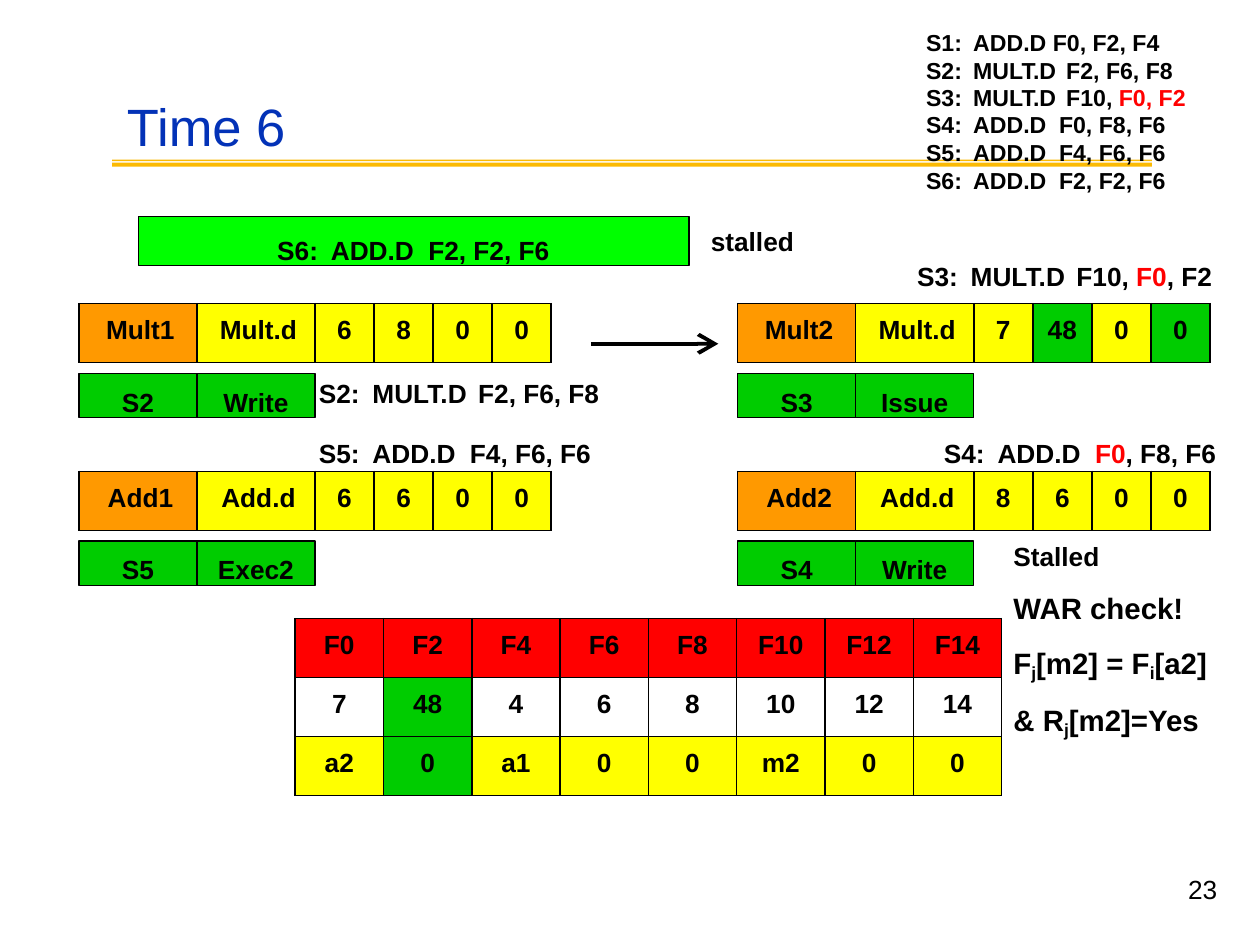
"""Build the scoreboard slide for time step six."""
from dataclasses import dataclass
from typing import Any, Sequence

import lxml.etree
import pptx
import pptx.dml.color
import pptx.enum.shapes
import pptx.enum.text
import pptx.oxml.ns
import pptx.util

Cm = pptx.util.Cm
Pt = pptx.util.Pt
qn = pptx.oxml.ns.qn
Align = pptx.enum.text.PP_ALIGN
Anchor = pptx.enum.text.MSO_ANCHOR
Shape = pptx.enum.shapes.MSO_SHAPE
Color = pptx.dml.color.RGBColor.from_string


@dataclass(frozen=True)
class Theme:
    font: str = "Arial"
    ink: str = "000000"
    paper: str = "FFFFFF"
    title: str = "0332B7"
    rule: str = "FBBA03"
    red: str = "FF0000"
    green: str = "00CC00"
    lime: str = "00FF00"
    gold: str = "FFFF00"
    orange: str = "FF9900"
    head: float = 30
    text: float = 15
    code: float = 13.2
    check: float = 16.8
    small: float = 17.2


@dataclass(frozen=True)
class Unit:
    left: float
    top: float
    cells: Sequence[str]
    state: Sequence[str]
    done: Sequence[int] = ()


@dataclass(frozen=True)
class Label:
    left: float
    top: float
    width: float
    text: str
    size: float = Theme.text


THEME = Theme()
ROW, WIDE, REG = 1.19, 2.38, 1.78
LIST = ["S1:\tADD.D F0, F2, F4", "S2:\tMULT.D\tF2, F6, F8",
        "S3:\tMULT.D\tF10, |F0, F2", "S4:\tADD.D\tF0, F8, F6",
        "S5:\tADD.D\tF4, F6, F6"]
UNITS = [
    Unit(1.59, 6.12, ("Mult1", "Mult.d", "6", "8", "0", "0"), ("S2", "Write")),
    Unit(14.87, 6.12, ("Mult2", "Mult.d", "7", "48", "0", "0"), ("S3", "Issue"), (3, 5)),
    Unit(1.59, 9.5, ("Add1", "Add.d", "6", "6", "0", "0"), ("S5", "Exec2")),
    Unit(14.87, 9.5, ("Add2", "Add.d", "8", "6", "0", "0"), ("S4", "Write")),
]
LABELS = [
    Label(14.33, 4.54, 1.9, "stalled"),
    Label(6.43, 7.6, 5.8, "S2:\tMULT.D\tF2, F6, F8"),
    Label(19.03, 8.82, 5.6, "S4:\tADD.D\t|F0|, F8, F6"),
    Label(18.49, 5.24, 6.1, "S3:\tMULT.D\tF10, |F0|, F2"),
    Label(6.43, 8.82, 5.6, "S5:\tADD.D\tF4, F6, F6"),
    Label(18.67, 3.36, 4.9, "S6:\tADD.D\tF2, F2, F6", THEME.code),
]
REGS = [["F0", "F2", "F4", "F6", "F8", "F10", "F12", "F14"],
        ["7", "48", "4", "6", "8", "10", "12", "14"],
        ["a2", "0", "a1", "0", "0", "m2", "0", "0"]]
CHECK = ["WAR check!", "F|j|[m2] = F|i|[a2]", "& R|j|[m2]=Yes"]


def add_run(para: Any, text: str, size: float, color: str = THEME.ink, bold: bool = True) -> Any:
    run = para.add_run()
    run.text = text
    run.font.name, run.font.size, run.font.bold = THEME.font, Pt(size), bold
    run.font.color.rgb = Color(color)
    return run


def add_code(para: Any, text: str, size: float) -> None:
    """Write an instruction on tab stops, with every second part in red."""
    if "\t" in text:
        props = para._p.get_or_add_pPr()
        tabs = lxml.etree.SubElement(props, qn("a:tabLst"))
        for stop in (0.072, 0.214 if "MULT" in text else 0.203):
            lxml.etree.SubElement(tabs, qn("a:tab"), pos=str(int(Cm(stop * size))), algn="l")
    for i, part in enumerate(text.split("|")):
        add_run(para, part, size, THEME.red if i % 2 else THEME.ink)


def set_frame(frame: Any, left: float = 0, top: float = 0) -> Any:
    frame.word_wrap = True
    frame.auto_size = pptx.enum.text.MSO_AUTO_SIZE.NONE
    frame.vertical_anchor = Anchor.TOP
    frame.margin_left, frame.margin_top = Cm(left), Cm(top)
    frame.margin_right = frame.margin_bottom = 0
    return frame


def add_text(slide: Any, left: float, top: float, width: float, height: float, inset: float = 0) -> Any:
    box = slide.shapes.add_textbox(Cm(left), Cm(top), Cm(width), Cm(height))
    return set_frame(box.text_frame, top=inset)


def add_box(slide: Any, left: float, top: float, width: float, height: float, fill: str) -> Any:
    box = slide.shapes.add_shape(Shape.RECTANGLE, Cm(left), Cm(top), Cm(width), Cm(height))
    box.shadow.inherit = False
    box.fill.solid()
    box.fill.fore_color.rgb = Color(fill)
    box.line.color.rgb = Color(THEME.ink)
    box.line.width = Pt(0.8)
    return box.text_frame


def set_cell(cell: Any, text: str, fill: str, inset: float) -> None:
    props = cell._tc.get_or_add_tcPr()
    for side in ("a:lnL", "a:lnR", "a:lnT", "a:lnB"):
        line = lxml.etree.SubElement(props, qn(side), w=str(int(Pt(1))))
        solid = lxml.etree.SubElement(line, qn("a:solidFill"))
        lxml.etree.SubElement(solid, qn("a:srgbClr"), val=THEME.ink)
    cell.fill.solid()
    cell.fill.fore_color.rgb = Color(fill)
    cell.margin_right = cell.margin_bottom = 0
    cell.margin_left, cell.margin_top = Cm(inset), Cm(0.25)
    para = cell.text_frame.paragraphs[0]
    para.alignment = Align.CENTER
    add_run(para, text, THEME.text)


def add_grid(slide: Any, left: float, top: float, cols: Sequence[float],
             rows: Sequence[Sequence[str]], fills: Sequence[Sequence[str]]) -> None:
    table = slide.shapes.add_table(len(rows), len(cols), Cm(left), Cm(top),
                                   Cm(sum(cols)), Cm(ROW * len(rows))).table
    table.first_row = table.horz_banding = False
    for col, width in zip(table.columns, cols):
        col.width = Cm(width)
    for row, texts, tints in zip(table.rows, rows, fills):
        row.height = Cm(ROW)
        for cell, text, tint, width in zip(row.cells, texts, tints, cols):
            set_cell(cell, text, tint, 0.1 if width == WIDE else 0)


def add_unit(slide: Any, unit: Unit) -> None:
    fills = [THEME.orange] + [THEME.gold] * 5
    for i in unit.done:
        fills[i] = THEME.green
    add_grid(slide, unit.left, unit.top, [WIDE] * 2 + [ROW] * 4, [unit.cells], [fills])
    for i, text in enumerate(unit.state):
        frame = set_frame(add_box(slide, unit.left + i * WIDE, unit.top + 1.41, WIDE, 0.89, THEME.green), top=0.25)
        frame.paragraphs[0].alignment = Align.CENTER
        add_run(frame.paragraphs[0], text, THEME.text)


def add_rule(slide: Any) -> None:
    left, right = Cm(2.26), Cm(23.22)
    pen = None
    for top, low in ((3.22, 3.25), (3.28, 3.36)):
        if pen is None:
            pen = slide.shapes.build_freeform(left, Cm(top))
        else:
            pen.move_to(left, Cm(top))
        pen.add_line_segments([(right, Cm(top)), (right, Cm(low)), (left, Cm(low))])
    rule = pen.convert_to_shape()
    rule.shadow.inherit = False
    rule.fill.solid()
    rule.fill.fore_color.rgb = Color(THEME.rule)
    rule.line.fill.background()


def add_arrow(slide: Any) -> None:
    kind = pptx.enum.shapes.MSO_CONNECTOR.STRAIGHT
    arrow = slide.shapes.add_connector(kind, Cm(11.91), Cm(6.93), Cm(14.48), Cm(6.93))
    arrow.line.color.rgb = Color(THEME.ink)
    arrow.line.width = Pt(2.25)
    lxml.etree.SubElement(arrow.line._get_or_add_ln(), qn("a:tailEnd"), type="arrow", w="lg", len="lg")
    lxml.etree.SubElement(arrow._element.spPr, qn("a:effectLst"))


def add_title(slide: Any) -> None:
    title = slide.shapes.title
    title.left, title.top, title.width, title.height = map(Cm, (2.56, 1.53, 14.4, 1.63))
    para = set_frame(title.text_frame, top=0.36).paragraphs[0]
    para.alignment = Align.LEFT
    add_run(para, "Time 6", THEME.head, THEME.title, False)


def add_list(slide: Any) -> None:
    frame = add_text(slide, 18.67, 0.56, 5.6, 2.82, 0.03)
    for i, text in enumerate(LIST):
        para = frame.add_paragraph() if i else frame.paragraphs[0]
        add_code(para, text, THEME.code)
        para.line_spacing = Pt(15.6)


def add_check(slide: Any) -> None:
    frame = add_text(slide, 20.43, 10.52, 4.1, 4.27, 0.38)
    add_run(frame.paragraphs[0], "Stalled", THEME.text)
    for text in CHECK:
        para = frame.add_paragraph()
        if text.startswith("&"):
            para.space_before = Pt(10.4)
        else:
            para.line_spacing = 1.5
        for i, part in enumerate(text.split("|")):
            run = add_run(para, part, THEME.small if i % 2 else THEME.check)
            if i % 2:
                run.font._element.set("baseline", "-17000")


def main() -> None:
    deck = pptx.Presentation()
    deck.slide_width, deck.slide_height = Cm(25.4), Cm(19.05)
    slide = deck.slides.add_slide(deck.slide_layouts[5])
    add_rule(slide)
    add_title(slide)
    frame = set_frame(add_box(slide, 2.79, 4.36, 11.1, 0.99, THEME.lime), 2.8, 0.36)
    frame.paragraphs[0].alignment = Align.LEFT
    add_code(frame.paragraphs[0], "S6:\tADD.D\tF2, F2, F6", THEME.text)
    for unit in UNITS:
        add_unit(slide, unit)
    fills = [[tint] * 8 for tint in (THEME.red, THEME.paper, THEME.gold)]
    fills[1][1] = fills[2][1] = THEME.green
    add_grid(slide, 5.95, 12.47, [REG] * 8, REGS, fills)
    add_check(slide)
    for label in LABELS:
        frame = add_text(slide, label.left, label.top, label.width, 0.66)
        add_code(frame.paragraphs[0], label.text, label.size)
    add_list(slide)
    add_arrow(slide)
    para = add_text(slide, 23.95, 17.63, 0.8, 1.22).paragraphs[0]
    para.line_spacing = Pt(17.5)
    add_run(para, "23", THEME.text, bold=False)
    deck.save("out.pptx")


if __name__ == "__main__":
    main()
